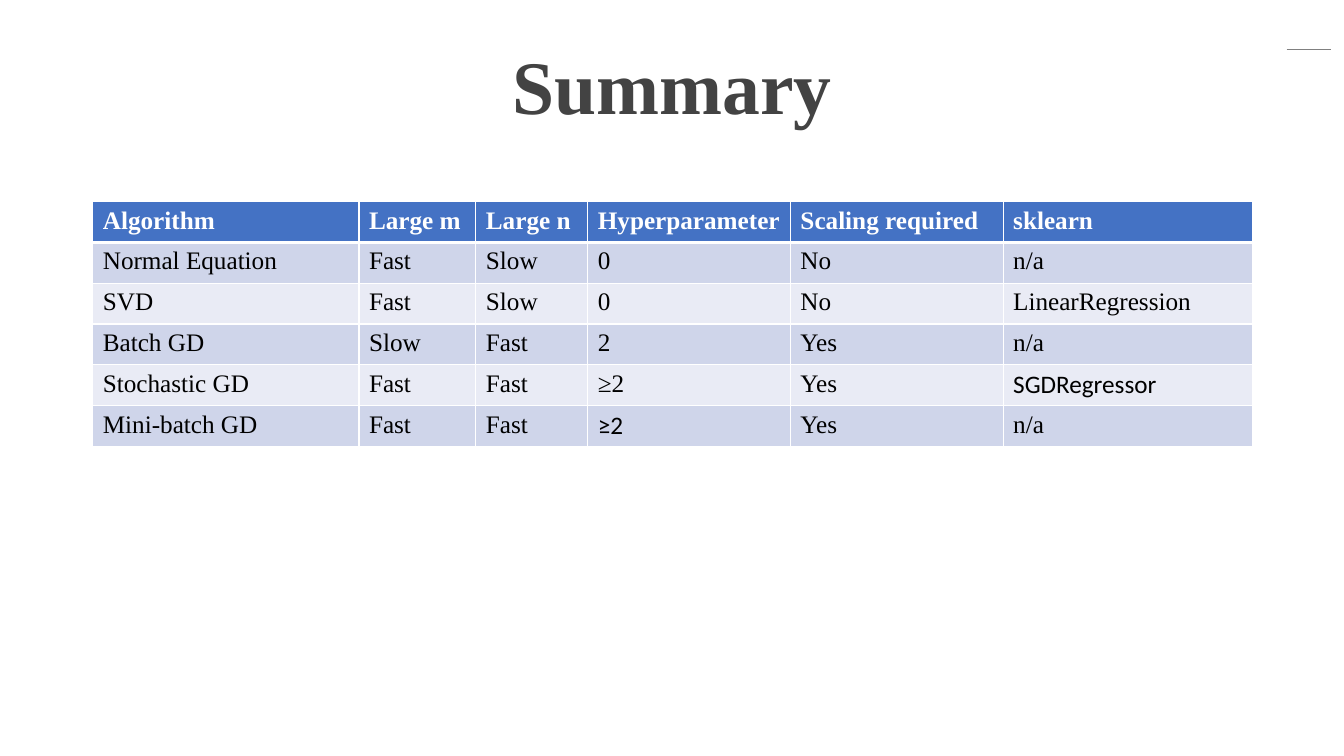
from dataclasses import dataclass

from lxml import etree
from pptx import Presentation
from pptx import util as u
from pptx.dml.color import RGBColor
from pptx.enum import shapes, text
from pptx.oxml import ns

WHITE = RGBColor(0xFF, 0xFF, 0xFF)
BLACK = RGBColor(0, 0, 0)
GREY = RGBColor(0x80, 0x80, 0x80)
DARK = RGBColor(0x43, 0x43, 0x43)
BLUE = RGBColor(0x44, 0x72, 0xC4)
BANDS = (RGBColor(0xE9, 0xEB, 0xF5), RGBColor(0xCF, 0xD5, 0xEA))
SERIF, SANS = "Times New Roman", "Calibri"


@dataclass
class Column:
    head: str
    width: float
    items: tuple[str, ...]
    sans: int = 0  # row set in the sans font, 0 for none


COLUMNS = [
    Column("Algorithm", 2.64, ("Normal Equation", "SVD", "Batch GD",
                               "Stochastic GD", "Mini-batch GD")),
    Column("Large m", 1.16, ("Fast", "Fast", "Slow", "Fast", "Fast")),
    Column("Large n", 1.11, ("Slow", "Slow", "Fast", "Fast", "Fast")),
    Column("Hyperparameter", 2.01, ("0", "0", "2", "≥2", "≥2"), sans=5),
    Column("Scaling required", 2.11, ("No", "No", "Yes", "Yes", "Yes")),
    Column("sklearn", 2.47, ("n/a", "LinearRegression", "n/a",
                             "SGDRegressor", "n/a"), sans=4),
]
ROWS = 6
HEIGHT = 0.405


def style(par, size: float, face: str, color: RGBColor, bold: bool) -> None:
    for run in par.runs:
        font = run.font
        font.size, font.name, font.bold = u.Pt(size), face, bold
        font.color.rgb = color


def edge(cell, row: int) -> None:
    """Draw white cell borders, thick between the header and the body."""
    props = cell._tc.get_or_add_tcPr()
    thick = {"lnB": row == 0, "lnT": row == 1}
    for side in ("lnL", "lnR", "lnT", "lnB"):
        width = u.Pt(3 if thick.get(side) else 1)
        line = etree.SubElement(props, ns.qn("a:" + side), w=str(width))
        fill = etree.SubElement(line, ns.qn("a:solidFill"))
        etree.SubElement(fill, ns.qn("a:srgbClr"), val=str(WHITE))


def add_title(slide) -> None:
    box = slide.shapes.add_textbox(u.Inches(0), u.Inches(0.29),
                                   u.Inches(13.33), u.Inches(1.2))
    frame = box.text_frame
    frame.word_wrap = True
    frame.vertical_anchor = text.MSO_ANCHOR.MIDDLE
    frame.text = "Summary"
    par = frame.paragraphs[0]
    par.alignment = text.PP_ALIGN.CENTER
    par.line_spacing = 0.9
    style(par, 54, SERIF, DARK, True)


def add_rule(slide) -> None:
    rule = slide.shapes.add_connector(
        shapes.MSO_CONNECTOR.STRAIGHT, u.Inches(12.76), u.Inches(0.49),
        u.Inches(13.2), u.Inches(0.49))
    rule.line.color.rgb = GREY
    rule.line.width = u.Pt(1)
    etree.SubElement(rule._element.spPr, ns.qn("a:effectLst"))


def add_grid(slide) -> None:
    width = sum(col.width for col in COLUMNS)
    grid = slide.shapes.add_table(
        ROWS, len(COLUMNS), u.Inches(0.92), u.Inches(2),
        u.Inches(width), u.Inches(ROWS * HEIGHT)).table
    for row in grid.rows:
        row.height = u.Inches(HEIGHT)
    for c, col in enumerate(COLUMNS):
        grid.columns[c].width = u.Inches(col.width)
        for r, word in enumerate((col.head, *col.items)):
            top = r == 0
            cell = grid.cell(r, c)
            edge(cell, r)
            cell.fill.solid()
            cell.fill.fore_color.rgb = BLUE if top else BANDS[r % 2]
            cell.text_frame.text = word
            face = SANS if r and r == col.sans else SERIF
            style(cell.text_frame.paragraphs[0], 18, face,
                  WHITE if top else BLACK, top)


def main() -> None:
    deck = Presentation()
    deck.slide_width, deck.slide_height = u.Inches(13.33), u.Inches(7.5)
    slide = deck.slides.add_slide(deck.slide_layouts[6])
    add_rule(slide)
    add_title(slide)
    add_grid(slide)
    deck.save("out.pptx")


if __name__ == "__main__":
    main()
